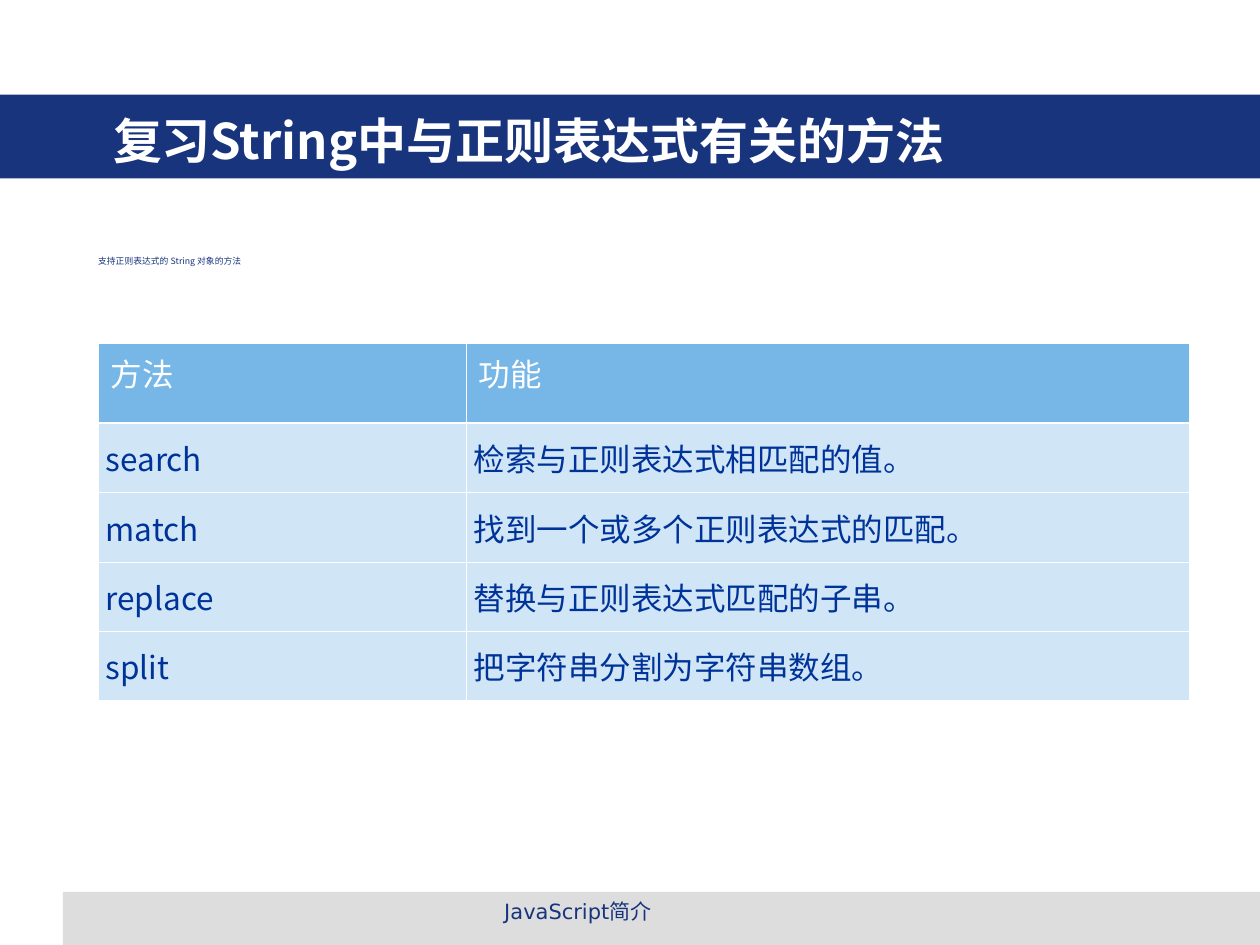
"""Build a slide listing the String methods that work with regular expressions."""
from dataclasses import dataclass

import pptx
import pptx.dml.color
import pptx.enum.shapes
import pptx.enum.text
import pptx.oxml.ns
import pptx.slide
import pptx.table
import pptx.text.text
import pptx.util
from lxml import etree

Cm = pptx.util.Cm
Pt = pptx.util.Pt
RGBColor = pptx.dml.color.RGBColor
ALIGN = pptx.enum.text.PP_ALIGN
ANCHOR = pptx.enum.text.MSO_ANCHOR
qn = pptx.oxml.ns.qn

NAVY = RGBColor(0x17, 0x34, 0x7D)
GRAY = RGBColor(0xDD, 0xDD, 0xDD)
WHITE = RGBColor(0xFF, 0xFF, 0xFF)
SKY = RGBColor(0x77, 0xB7, 0xE7)
BLUE = RGBColor(0x00, 0x33, 0x99)
CJK_FONT = "Noto Sans CJK SC"
THIN, THICK = 0.45, 1.47
BODY_ALPHA = 34


@dataclass(frozen=True)
class Box:
    left: float
    top: float
    width: float
    height: float

    def lengths(self) -> tuple:
        return Cm(self.left), Cm(self.top), Cm(self.width), Cm(self.height)


@dataclass(frozen=True)
class Bar:
    box: Box
    color: RGBColor


@dataclass(frozen=True)
class Label:
    box: Box
    text: str
    size: float
    color: RGBColor
    font: str = CJK_FONT
    bold: bool = False
    align: ALIGN = ALIGN.LEFT
    anchor: ANCHOR = ANCHOR.TOP


BARS = [
    Bar(Box(1.27, 17.98, 24.13, 1.07), GRAY),
    Bar(Box(0, 1.91, 25.4, 1.69), NAVY),
]
LABELS = [
    Label(Box(2.03, 2.03, 21.67, 1.57), "复习String中与正则表达式有关的方法", 28, WHITE,
          bold=True, anchor=ANCHOR.MIDDLE),
    Label(Box(1.73, 5.03, 20.75, 1.4), "支持正则表达式的 String 对象的方法", 5, NAVY),
    Label(Box(8.69, 17.98, 5.92, 0.89), "JavaScript简介", 12, NAVY,
          font="DejaVu Sans", align=ALIGN.CENTER),
]
TABLE_BOX = Box(1.98, 6.93, 22, 7.2)
COLUMN_WIDTHS = [7.42, 14.58]
HEADER_HEIGHT, ROW_HEIGHT = 1.6, 1.4
ROWS = [
    ("方法", "功能"),
    ("search", "检索与正则表达式相匹配的值。"),
    ("match", "找到一个或多个正则表达式的匹配。"),
    ("replace", "替换与正则表达式匹配的子串。"),
    ("split", "把字符串分割为字符串数组。"),
]


def write(tf: pptx.text.text.TextFrame, text: str, *, size: float, color: RGBColor,
          font: str = CJK_FONT, bold: bool = False, align: ALIGN = ALIGN.LEFT) -> None:
    p = tf.paragraphs[0]
    p.alignment = align
    r = p.add_run()
    r.text = text
    r.font.size = Pt(size)
    r.font.bold = bold
    r.font.color.rgb = color
    r.font.name = font
    etree.SubElement(r.font._element, qn("a:ea"), typeface=CJK_FONT)


def add_bar(s: pptx.slide.Slide, bar: Bar) -> None:
    sp = s.shapes.add_shape(pptx.enum.shapes.MSO_SHAPE.RECTANGLE, *bar.box.lengths())
    sp.shadow.inherit = False
    sp.fill.solid()
    sp.fill.fore_color.rgb = bar.color
    sp.line.fill.background()


def add_label(s: pptx.slide.Slide, label: Label) -> None:
    tf = s.shapes.add_textbox(*label.box.lengths()).text_frame
    tf.word_wrap = True
    tf.vertical_anchor = label.anchor
    write(tf, label.text, size=label.size, color=label.color, font=label.font,
          bold=label.bold, align=label.align)


def set_borders(cell: pptx.table._Cell, top: float, bottom: float) -> None:
    tc_pr = cell._tc.get_or_add_tcPr()
    for side, width in (("L", THIN), ("R", THIN), ("T", top), ("B", bottom)):
        ln = etree.SubElement(tc_pr, qn(f"a:ln{side}"), w=str(Pt(width)))
        fill = etree.SubElement(ln, qn("a:solidFill"))
        etree.SubElement(fill, qn("a:srgbClr"), val=str(WHITE))


def format_cell(cell: pptx.table._Cell, text: str, row: int) -> None:
    header = row == 0
    set_borders(cell, THICK if row == 1 else THIN, THICK if header else THIN)
    cell.fill.solid()
    cell.fill.fore_color.rgb = SKY
    if not header:
        color = cell._tc.tcPr.find(qn("a:solidFill")).find(qn("a:srgbClr"))
        etree.SubElement(color, qn("a:alpha"), val=str(BODY_ALPHA * 1000))
        cell.vertical_anchor = ANCHOR.MIDDLE
        cell.margin_left, cell.margin_right = Cm(0.15), Cm(0.41)
    write(cell.text_frame, text, size=18, color=WHITE if header else BLUE)


def add_method_table(s: pptx.slide.Slide) -> None:
    table = s.shapes.add_table(len(ROWS), len(COLUMN_WIDTHS), *TABLE_BOX.lengths()).table
    table.first_row = table.horz_banding = False
    for column, width in zip(table.columns, COLUMN_WIDTHS):
        column.width = Cm(width)
    for i, texts in enumerate(ROWS):
        table.rows[i].height = Cm(ROW_HEIGHT if i else HEADER_HEIGHT)
        for j, text in enumerate(texts):
            format_cell(table.cell(i, j), text, i)


def main() -> None:
    prs = pptx.Presentation()
    prs.slide_width, prs.slide_height = Cm(25.4), Cm(19.05)
    s = prs.slides.add_slide(prs.slide_layouts[6])
    for bar in BARS:
        add_bar(s, bar)
    for label in LABELS:
        add_label(s, label)
    add_method_table(s)
    prs.save("out.pptx")


if __name__ == "__main__":
    main()
